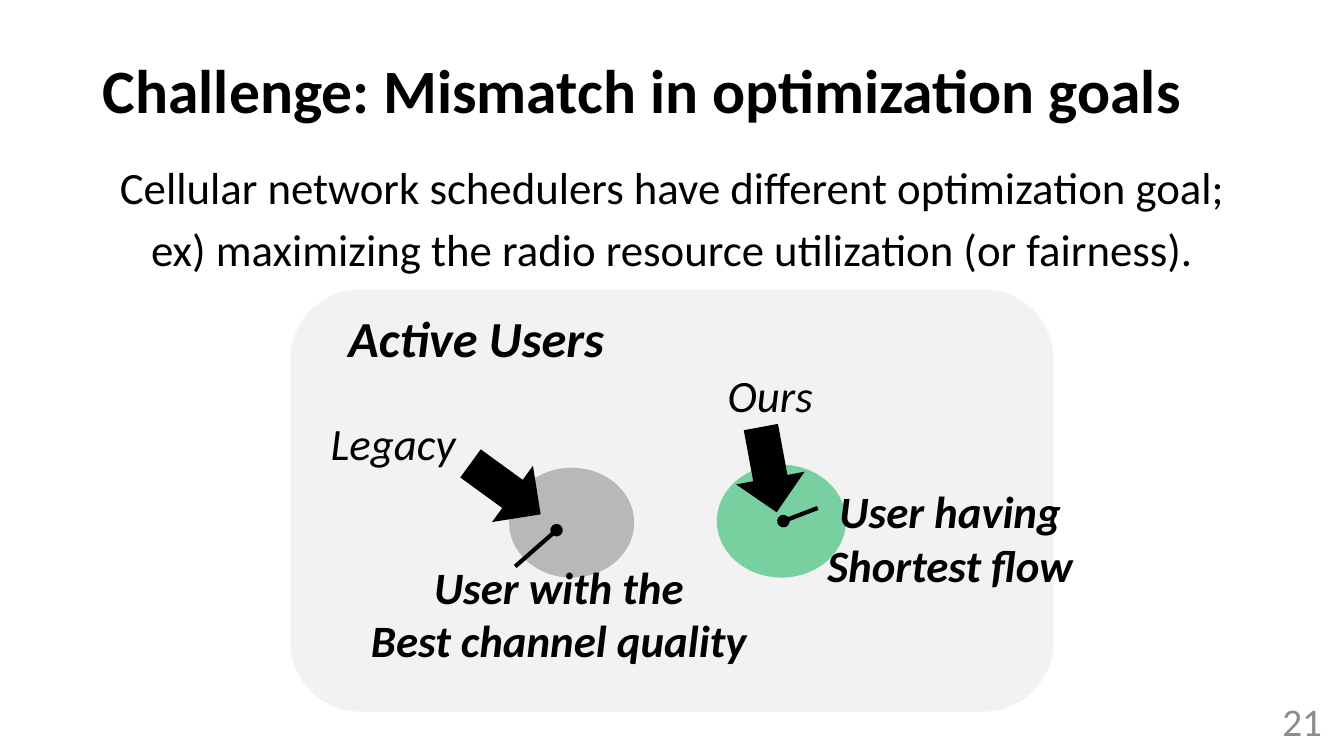
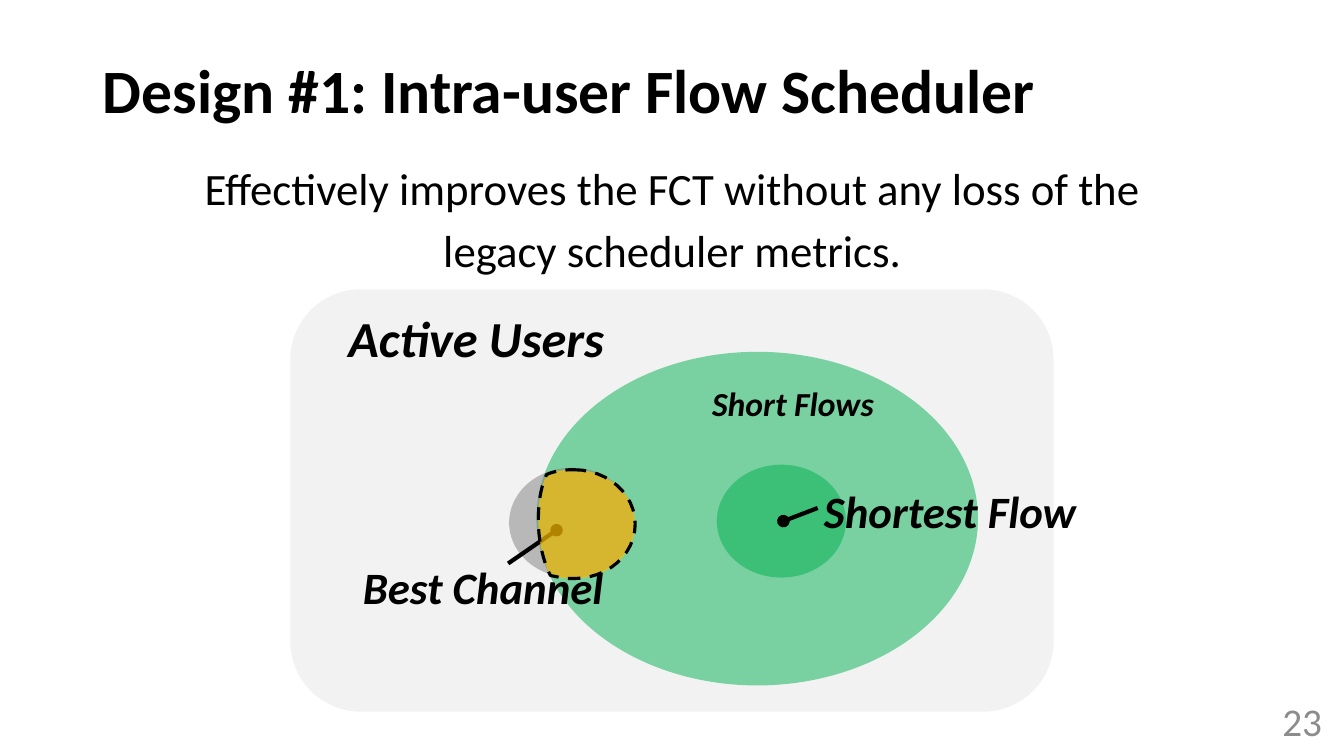
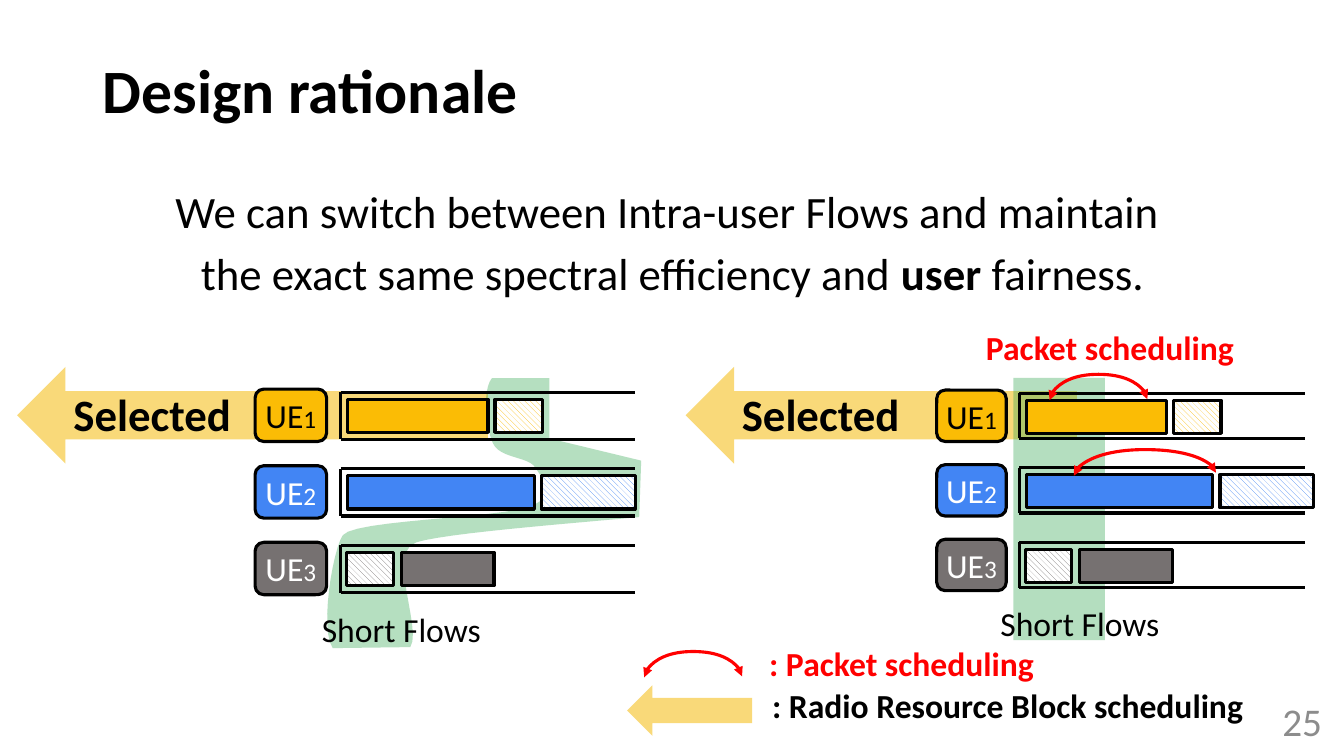
from dataclasses import dataclass

from lxml import etree
from pptx import Presentation
from pptx.dml.color import RGBColor
from pptx.enum.dml import MSO_LINE, MSO_PATTERN
from pptx.enum.shapes import MSO_CONNECTOR, MSO_SHAPE
from pptx.enum.text import MSO_ANCHOR, MSO_AUTO_SIZE, PP_ALIGN
from pptx.oxml.ns import qn
from pptx.util import Inches, Pt

FONT = "Calibri"
BLACK = RGBColor(0x00, 0x00, 0x00)
WHITE = RGBColor(0xFF, 0xFF, 0xFF)
NUMBER_GRAY = RGBColor(0x8C, 0x8C, 0x8C)
PANEL_GRAY = RGBColor(0xF2, 0xF2, 0xF2)
MID_GRAY = RGBColor(0x80, 0x80, 0x80)
DARK_GRAY = RGBColor(0x76, 0x71, 0x71)
GREEN = RGBColor(0x00, 0xB0, 0x50)
PALE_GREEN = RGBColor(0x79, 0xD1, 0xA1)
BAND_GREEN = RGBColor(0x34, 0xA8, 0x53)
YELLOW = RGBColor(0xFB, 0xBC, 0x05)
PALE_YELLOW = RGBColor(0xF9, 0xD9, 0x79)
BLUE = RGBColor(0x42, 0x85, 0xF4)
RED = RGBColor(0xFF, 0x00, 0x00)

LEFT, CENTER, RIGHT = PP_ALIGN.LEFT, PP_ALIGN.CENTER, PP_ALIGN.RIGHT
MIDDLE, TOP = MSO_ANCHOR.MIDDLE, MSO_ANCHOR.TOP
NO_FIT, GROW = MSO_AUTO_SIZE.NONE, MSO_AUTO_SIZE.SHAPE_TO_FIT_TEXT
RECT, ROUND_RECT = MSO_SHAPE.RECTANGLE, MSO_SHAPE.ROUNDED_RECTANGLE
ELLIPSE = MSO_SHAPE.OVAL
LEFT_ARROW, DOWN_ARROW = MSO_SHAPE.LEFT_ARROW, MSO_SHAPE.DOWN_ARROW
STRAIGHT, CURVE = MSO_CONNECTOR.STRAIGHT, MSO_CONNECTOR.CURVE
HATCH, DASH = MSO_PATTERN.WIDE_DOWNWARD_DIAGONAL, MSO_LINE.DASH

THIN, THICK = 2.25, 3
ARC_RISE = 0.26

# Outlines: a pair is a straight step, six numbers are a cubic curve
OVERLAP_OUTLINE = [
    (5.69, 4.66), (6.03, 4.66, 6.3, 4.9, 6.3, 5.2),
    (6.3, 5.5, 6.03, 5.74, 5.69, 5.74), (5.64, 5.74, 5.6, 5.74, 5.56, 5.73),
    (5.46, 5.71), (5.43, 5.65), (5.37, 5.49, 5.34, 5.33, 5.34, 5.16),
    (5.34, 5.04, 5.35, 4.93, 5.38, 4.82), (5.42, 4.71), (5.44, 4.7),
    (5.52, 4.67, 5.6, 4.66, 5.69, 4.66),
]
SHORT_FLOW_OUTLINE = [
    (4.88, 3.75), (4.78, 3.87, 4.82, 4.25, 4.89, 4.4),
    (4.96, 4.55, 5.25, 4.53, 5.31, 4.64), (5.37, 4.74, 5.56, 4.92, 5.24, 5.03),
    (4.92, 5.14, 3.5, 5.16, 3.4, 5.31), (3.3, 5.46, 3.17, 6.24, 3.3, 6.43),
    (4.07, 6.42), (4.19, 6.24, 3.83, 5.47, 4.13, 5.38),
    (4.42, 5.29, 5.58, 5.2, 6.34, 5.13), (6.36, 4.57), (5.45, 4.35), (5.45, 3.75),
]


@dataclass
class Label:
    text: str
    x: float
    y: float
    w: float
    h: float
    size: int = 32
    bold: bool = True
    italic: bool = True
    color: RGBColor = BLACK
    align: PP_ALIGN = CENTER
    spacing: float = 1.0


@dataclass
class Flow:
    offset: float
    width: float
    hatched: bool = False


@dataclass
class User:
    color: RGBColor
    text_color: RGBColor
    flows: list[Flow]


@dataclass
class Cell:
    """One set of user queues with its selection arrow."""
    arrow_x: float
    arrow_w: float
    badge_x: float
    badge_w: float
    badge_h: float
    lane_x: float
    lane_w: float
    lane_h: float
    top: float
    pitch: float
    caption_y: float


USERS = [
    User(YELLOW, BLACK, [Flow(0.07, 1.39), Flow(1.53, 0.47, True)]),
    User(BLUE, WHITE, [Flow(0.07, 1.85), Flow(1.99, 0.93, True)]),
    User(DARK_GRAY, WHITE, [Flow(0.06, 0.46, True), Flow(0.6, 0.92)]),
]
BEFORE = Cell(0.17, 4.67, 2.53, 0.71, 0.52, 3.38, 2.92, 0.47, 3.89, 0.76, 5.99)
AFTER = Cell(6.8, 3.88, 9.29, 0.69, 0.51, 10.11, 2.83, 0.45, 3.9, 0.74, 5.93)


# Drawing helpers
def set_font(p, size: float, color: RGBColor = BLACK, bold: bool = False,
             italic: bool = False) -> None:
    f = p.font
    f.name, f.size, f.bold, f.italic = FONT, Pt(size), bold, italic
    f.color.rgb = color


def style_shape(shape, fill: RGBColor, alpha: int = 100, line: bool = False,
                hatched: bool = False) -> None:
    shape.shadow.inherit = False
    if hatched:
        shape.fill.patterned()
        shape.fill.pattern = HATCH
        shape.fill.fore_color.rgb, shape.fill.back_color.rgb = fill, WHITE
    else:
        shape.fill.solid()
        shape.fill.fore_color.rgb = fill
    if alpha < 100:
        color = shape._element.spPr.find(qn("a:solidFill"))[0]
        etree.SubElement(color, qn("a:alpha")).set("val", str(alpha * 1000))
    if line:
        shape.line.color.rgb, shape.line.width = BLACK, Pt(THIN)
    else:
        shape.line.fill.background()


def add_shape(s, kind: MSO_SHAPE, x: float, y: float, w: float, h: float,
              fill: RGBColor, alpha: int = 100, line: bool = False,
              hatched: bool = False):
    shape = s.shapes.add_shape(kind, Inches(x), Inches(y), Inches(w), Inches(h))
    style_shape(shape, fill, alpha, line, hatched)
    return shape


def add_outline(s, outline: list[tuple], fill: RGBColor, alpha: int,
                line: bool = False):
    points = [outline[0]]
    for step in outline[1:]:
        if len(step) == 2:
            points.append(step)
            continue
        ctrl = [points[-1], step[:2], step[2:4], step[4:]]
        for t in (i / 12 for i in range(1, 13)):
            weights = ((1 - t) ** 3, 3 * t * (1 - t) ** 2, 3 * t * t * (1 - t), t ** 3)
            points.append(tuple(sum(k * c[axis] for k, c in zip(weights, ctrl))
                                for axis in (0, 1)))
    emu = [(Inches(x), Inches(y)) for x, y in points]
    builder = s.shapes.build_freeform(*emu[0])
    builder.add_line_segments(emu[1:], close=True)
    shape = builder.convert_to_shape()
    style_shape(shape, fill, alpha, line)
    return shape


def add_line(s, x1: float, y1: float, x2: float, y2: float, width: float = THIN,
             color: RGBColor = BLACK, head: str = "", tail: str = "",
             kind: MSO_CONNECTOR = STRAIGHT):
    c = s.shapes.add_connector(kind, Inches(x1), Inches(y1), Inches(x2), Inches(y2))
    c.line.color.rgb, c.line.width = color, Pt(width)
    for tag, end in (("a:headEnd", head), ("a:tailEnd", tail)):
        if end:
            etree.SubElement(c.line._get_or_add_ln(), qn(tag)).set("type", end)
    etree.SubElement(c._element.spPr, qn("a:effectLst"))
    return c


def add_arc(s, x1: float, y1: float, x2: float, drop: float = 0.01) -> None:
    """Double-headed arc from (x1, y1) to (x2, y1 - drop), a quarter turn of a curve."""
    mx, my, half = (x1 + x2) / 2, y1 - drop / 2, (x2 - x1) / 2
    c = add_line(s, mx + drop / 2, my + half, mx - drop / 2, my - half, THIN, RED,
                 "triangle", "triangle", CURVE)
    sp_pr = c._element.spPr
    sp_pr.find(qn("a:xfrm")).set("rot", "5400000")
    guides = sp_pr.find(qn("a:prstGeom")).find(qn("a:avLst"))
    guide = etree.SubElement(guides, qn("a:gd"))
    guide.set("name", "adj1")
    guide.set("fmla", f"val {round(ARC_RISE / drop * 100000)}")


def add_label(s, label: Label) -> None:
    box = s.shapes.add_textbox(Inches(label.x), Inches(label.y),
                               Inches(label.w), Inches(label.h))
    tf = box.text_frame
    tf.text = label.text
    tf.word_wrap, tf.auto_size = False, GROW
    for p in tf.paragraphs:
        p.alignment, p.line_spacing = label.align, label.spacing
        set_font(p, label.size, label.color, label.bold, label.italic)


# Shared slide frame
def fill_placeholder(ph, x: float, y: float, w: float, h: float, anchor: MSO_ANCHOR):
    ph.left, ph.top, ph.width, ph.height = Inches(x), Inches(y), Inches(w), Inches(h)
    tf = ph.text_frame
    tf.auto_size, tf.vertical_anchor, tf.word_wrap = NO_FIT, anchor, True
    return tf


def add_slide(prs, title: str, lines: list[str], number: int, body_y: float = 1.59,
              strong: str = ""):
    s = prs.slides.add_slide(prs.slide_layouts[1])
    tf = fill_placeholder(s.shapes.title, 0.92, 0.4, 11.5, 1.06, MIDDLE)
    tf.text = title
    p = tf.paragraphs[0]
    p.alignment, p.line_spacing = LEFT, 0.9
    set_font(p, 44, bold=True)

    tf = fill_placeholder(s.placeholders[1], 0.92, body_y, 11.5, 5.15, TOP)
    for i, line in enumerate(lines):
        p = tf.paragraphs[0] if i == 0 else tf.add_paragraph()
        pr = p._p.get_or_add_pPr()
        pr.set("marL", "0")
        pr.set("indent", "0")
        etree.SubElement(pr, qn("a:buNone"))
        p.alignment, p.line_spacing = CENTER, 0.9
        p.space_before = Pt(10 if i else 0)
        set_font(p, 32)
        parts = line.partition(strong) if strong else (line,)
        for part in filter(None, parts):
            r = p.add_run()
            r.text = part
            if part == strong:
                r.font.bold = True

    box = s.shapes.add_textbox(Inches(10.21), Inches(6.95), Inches(3), Inches(0.4))
    tf = box.text_frame
    tf.text, tf.word_wrap, tf.vertical_anchor = str(number), True, MIDDLE
    tf.paragraphs[0].alignment = RIGHT
    set_font(tf.paragraphs[0], 28, NUMBER_GRAY)
    return s


# Diagram of active users
def add_panel(s) -> None:
    add_shape(s, ROUND_RECT, 2.88, 2.87, 7.57, 4.19, PANEL_GRAY)
    add_label(s, Label("Active Users", 3.29, 3.07, 2.87, 0.64, 36, spacing=0.9))


def add_user_ovals(s, pointer_x: float, pointer_y: float) -> None:
    add_shape(s, ELLIPSE, 7.11, 4.61, 1.28, 1.12, GREEN, 50)
    add_shape(s, ELLIPSE, 5.05, 4.64, 1.24, 1.09, MID_GRAY, 50)
    add_line(s, 7.77, 5.17, 8.11, 5.04, THICK, head="oval")
    add_line(s, 5.52, 5.26, pointer_x, pointer_y, THICK, head="oval")


# Diagram of user queues
def add_selection(s, cell: Cell) -> None:
    add_shape(s, LEFT_ARROW, cell.arrow_x, 3.64, cell.arrow_w, 0.96, PALE_YELLOW)
    add_label(s, Label("Selected", cell.arrow_x + 0.45, 3.79, 1.78, 0.64, italic=False))


def add_badge(s, cell: Cell, y: float, number: int, user: User) -> None:
    badge = add_shape(s, ROUND_RECT, cell.badge_x, y, cell.badge_w, cell.badge_h,
                      user.color, line=True)
    tf = badge.text_frame
    tf.word_wrap, tf.vertical_anchor = False, MIDDLE
    tf.margin_left = tf.margin_right = tf.margin_top = tf.margin_bottom = 0
    p = tf.paragraphs[0]
    p.alignment = CENTER
    set_font(p, 24, user.text_color)
    p.add_run().text = "UE"
    r = p.add_run()
    r.text, r.font.size = str(number), Pt(18)


def add_queues(s, cell: Cell) -> None:
    x, right = cell.lane_x, cell.lane_x + cell.lane_w
    for i, user in enumerate(USERS):
        y = cell.top + i * cell.pitch
        bottom = y + cell.lane_h
        add_badge(s, cell, y - 0.03, i + 1, user)
        for ends in ((x, y, right, y), (x, bottom, right, bottom), (x, y, x, bottom)):
            add_line(s, *ends)
        for flow in user.flows:
            add_shape(s, RECT, x + flow.offset, y + 0.07, flow.width, 0.33,
                      user.color, line=True, hatched=flow.hatched)
    add_label(s, Label("Short Flows", x - 0.84, cell.caption_y, 2.88, 0.5, 24,
                       bold=False, italic=False))


# Slides
def mismatch_slide(prs) -> None:
    s = add_slide(prs, "Challenge: Mismatch in optimization goals", [
        "Cellular network schedulers have different optimization goal;",
        "ex) maximizing the radio resource utilization (or fairness).",
    ], 21)
    add_panel(s)
    add_user_ovals(s, 5.11, 5.62)
    for x, y, angle in ((4.67, 4.42, 306), (7.28, 4.23, 349.5)):
        add_shape(s, DOWN_ARROW, x, y, 0.69, 0.86, BLACK).rotation = angle
    for label in (
        Label("User with the\nBest channel quality", 3.56, 5.5, 3.97, 1.18),
        Label("User having\nShortest flow", 8.09, 4.75, 2.67, 1.18),
        Label("Legacy", 3.16, 4.08, 1.48, 0.64, bold=False),
        Label("Ours", 7.11, 3.6, 1.06, 0.64, bold=False),
    ):
        add_label(s, label)


def intra_user_slide(prs) -> None:
    s = add_slide(prs, "Design #1: Intra-user Flow Scheduler", [
        "Effectively improves the FCT without any loss of the",
        "legacy scheduler metrics.",
    ], 23, 1.6)
    add_panel(s)
    add_shape(s, ELLIPSE, 5.32, 3.49, 4.38, 3.31, PALE_GREEN)
    add_user_ovals(s, 5.04, 5.59)
    for label in (
        Label("Short Flows", 6.01, 3.79, 3.71, 0.65, 24, spacing=0.9),
        Label("Best Channel", 3.5, 5.5, 2.62, 0.64, align=LEFT),
        Label("Shortest Flow", 8.06, 4.75, 2.73, 0.64),
    ):
        add_label(s, label)
    overlap = add_outline(s, OVERLAP_OUTLINE, YELLOW, 70, line=True)
    overlap.line.dash_style = DASH


def rationale_slide(prs) -> None:
    s = add_slide(prs, "Design rationale", [
        "We can switch between Intra-user Flows and maintain ",
        "the exact same spectral efficiency and user fairness.",
    ], 25, 1.83, strong=" user ")
    for cell in (BEFORE, AFTER):
        add_selection(s, cell)
    add_outline(s, SHORT_FLOW_OUTLINE, BAND_GREEN, 36)
    add_shape(s, RECT, 10.05, 3.75, 0.91, 2.6, BAND_GREEN, 37)
    for cell in (BEFORE, AFTER):
        add_queues(s, cell)
    add_arc(s, 10.41, 3.97, 11.38)
    add_arc(s, 10.65, 4.72, 12.06, 0.03)

    # Legend
    add_arc(s, 6.39, 6.72, 7.36)
    add_shape(s, LEFT_ARROW, 6.22, 6.8, 1.24, 0.5, PALE_YELLOW)
    for text, x, y, w, color in (
        ("Packet scheduling", 9.68, 3.19, 2.69, RED),
        (": Packet scheduling", 7.53, 6.33, 2.85, RED),
        (": Radio Resource Block scheduling", 7.56, 6.75, 4.92, BLACK),
    ):
        add_label(s, Label(text, x, y, w, 0.5, 24, italic=False, color=color, align=LEFT))


def main() -> None:
    prs = Presentation()
    prs.slide_width, prs.slide_height = Inches(13.33), Inches(7.5)
    mismatch_slide(prs)
    intra_user_slide(prs)
    rationale_slide(prs)
    prs.save("out.pptx")


if __name__ == "__main__":
    main()
